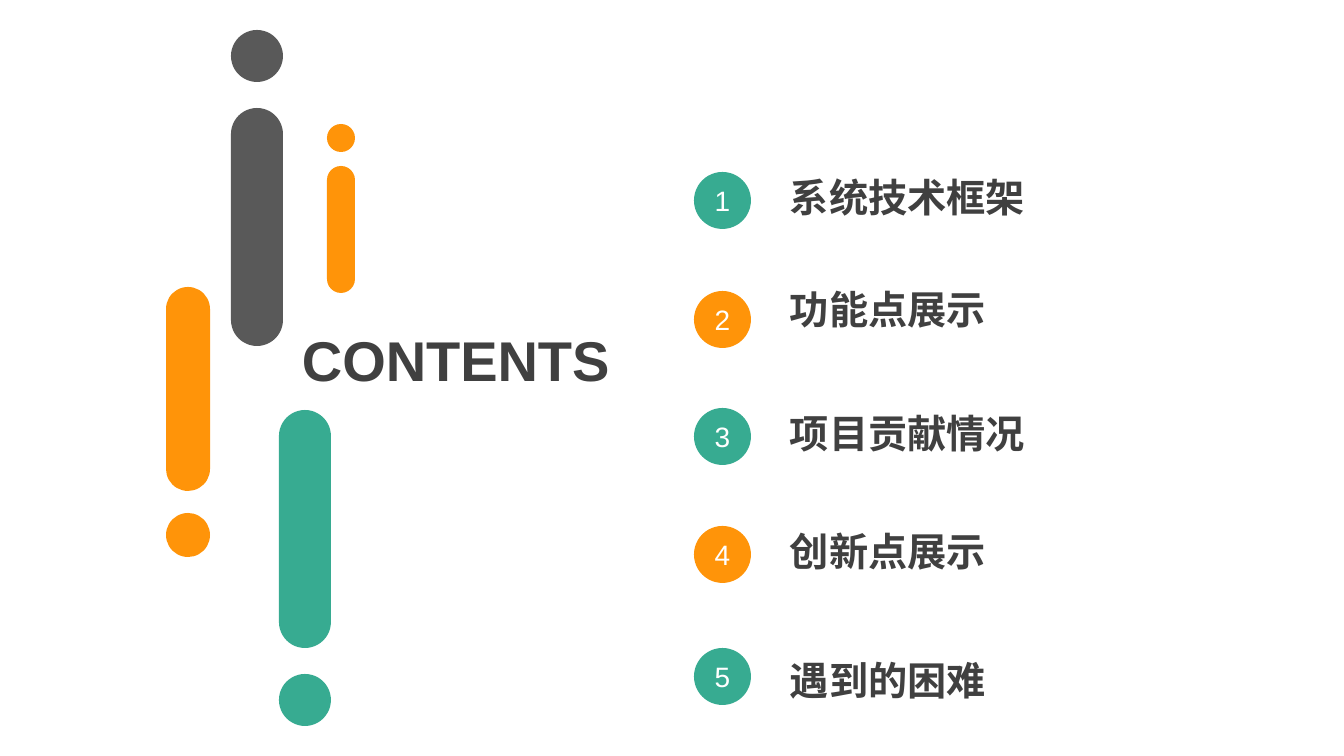
from dataclasses import dataclass

from pptx import Presentation
from pptx.dml.color import RGBColor
from pptx.enum.shapes import MSO_SHAPE
from pptx.enum.text import MSO_ANCHOR, MSO_AUTO_SIZE, PP_ALIGN
from pptx.util import Emu, Pt

OVAL = MSO_SHAPE.OVAL
ROUNDED = MSO_SHAPE.ROUNDED_RECTANGLE
MIDDLE = MSO_ANCHOR.MIDDLE
FIT_TEXT = MSO_AUTO_SIZE.SHAPE_TO_FIT_TEXT
LEFT = PP_ALIGN.LEFT
CENTER = PP_ALIGN.CENTER

SLIDE_WIDTH, SLIDE_HEIGHT = 1344, 756
EMU_PER_PX = 12192000 / SLIDE_WIDTH


@dataclass(frozen=True)
class Theme:
    gray: str = "595959"
    orange: str = "FF9409"
    teal: str = "37AB91"
    ink: str = "404040"
    white: str = "FFFFFF"
    font: str = "Arial"
    title_size: int = 40
    label_size: int = 28
    badge_size: int = 20


THEME = Theme()

BADGE_LEFT, BADGE_SIZE = 694, 57
LABEL_LEFT, LABEL_HEIGHT = 780, 57
CHARACTER_WIDTH, LABEL_PADDING = 39, 24

MARKS = [
    dict(left=231, top=108, width=52, height=238, color=THEME.gray, dot_above=True),
    dict(left=327, top=166, width=28, height=127, color=THEME.orange, dot_above=True),
    dict(left=279, top=410, width=52, height=238, color=THEME.teal, dot_above=False),
    dict(left=166, top=287, width=44, height=204, color=THEME.orange, dot_above=False),
]

TOPICS = [
    ("系统技术框架", 172, 168),
    ("功能点展示", 291, 280),
    ("项目贡献情况", 408, 404),
    ("创新点展示", 526, 522),
    ("遇到的困难", 648, 651),
]


def px(length):
    return Emu(round(length * EMU_PER_PX))


def box(left, top, width, height):
    return px(left), px(top), px(width), px(height)


def write_text(shape, text, *, size, color, bold=False, align=LEFT):
    paragraph = shape.text_frame.paragraphs[0]
    paragraph.alignment = align
    run = paragraph.add_run()
    run.text = text
    run.font.name = THEME.font
    run.font.size = Pt(size)
    run.font.bold = bold
    run.font.color.rgb = RGBColor.from_string(color)


def add_filled(shapes, kind, left, top, width, height, color):
    shape = shapes.add_shape(kind, *box(left, top, width, height))
    shape.shadow.inherit = False
    shape.fill.solid()
    shape.fill.fore_color.rgb = RGBColor.from_string(color)
    shape.line.fill.background()
    return shape


def add_mark(slide, left, top, width, height, color, dot_above):
    shapes = slide.shapes.add_group_shape().shapes
    bar = add_filled(shapes, ROUNDED, left, top, width, height, color)
    bar.adjustments[0] = 0.5
    gap = width // 2
    dot_top = top - gap - width if dot_above else top + height + gap
    add_filled(shapes, OVAL, left, dot_top, width, width, color)


def add_heading(slide, text, left, top, width, height, size):
    heading = slide.shapes.add_textbox(*box(left, top, width, height))
    heading.text_frame.word_wrap = False
    heading.text_frame.auto_size = FIT_TEXT
    write_text(heading, text, size=size, color=THEME.ink, bold=True)


def add_badge(slide, number, top):
    color = THEME.teal if number % 2 else THEME.orange
    badge = add_filled(slide.shapes, OVAL, BADGE_LEFT, top, BADGE_SIZE, BADGE_SIZE, color)
    badge.text_frame.vertical_anchor = MIDDLE
    write_text(badge, str(number), size=THEME.badge_size, color=THEME.white, align=CENTER)


def add_topic(slide, number, text, badge_top, label_top):
    add_badge(slide, number, badge_top)
    width = len(text) * CHARACTER_WIDTH + LABEL_PADDING
    add_heading(slide, text, LABEL_LEFT, label_top, width, LABEL_HEIGHT, THEME.label_size)


def main():
    presentation = Presentation()
    presentation.slide_width = px(SLIDE_WIDTH)
    presentation.slide_height = px(SLIDE_HEIGHT)
    slide = presentation.slides.add_slide(presentation.slide_layouts[6])

    for mark in MARKS:
        add_mark(slide, **mark)
    add_heading(slide, "CONTENTS", 292, 321, 337, 77, THEME.title_size)
    for number, topic in enumerate(TOPICS, start=1):
        add_topic(slide, number, *topic)

    presentation.save("out.pptx")


if __name__ == "__main__":
    main()
